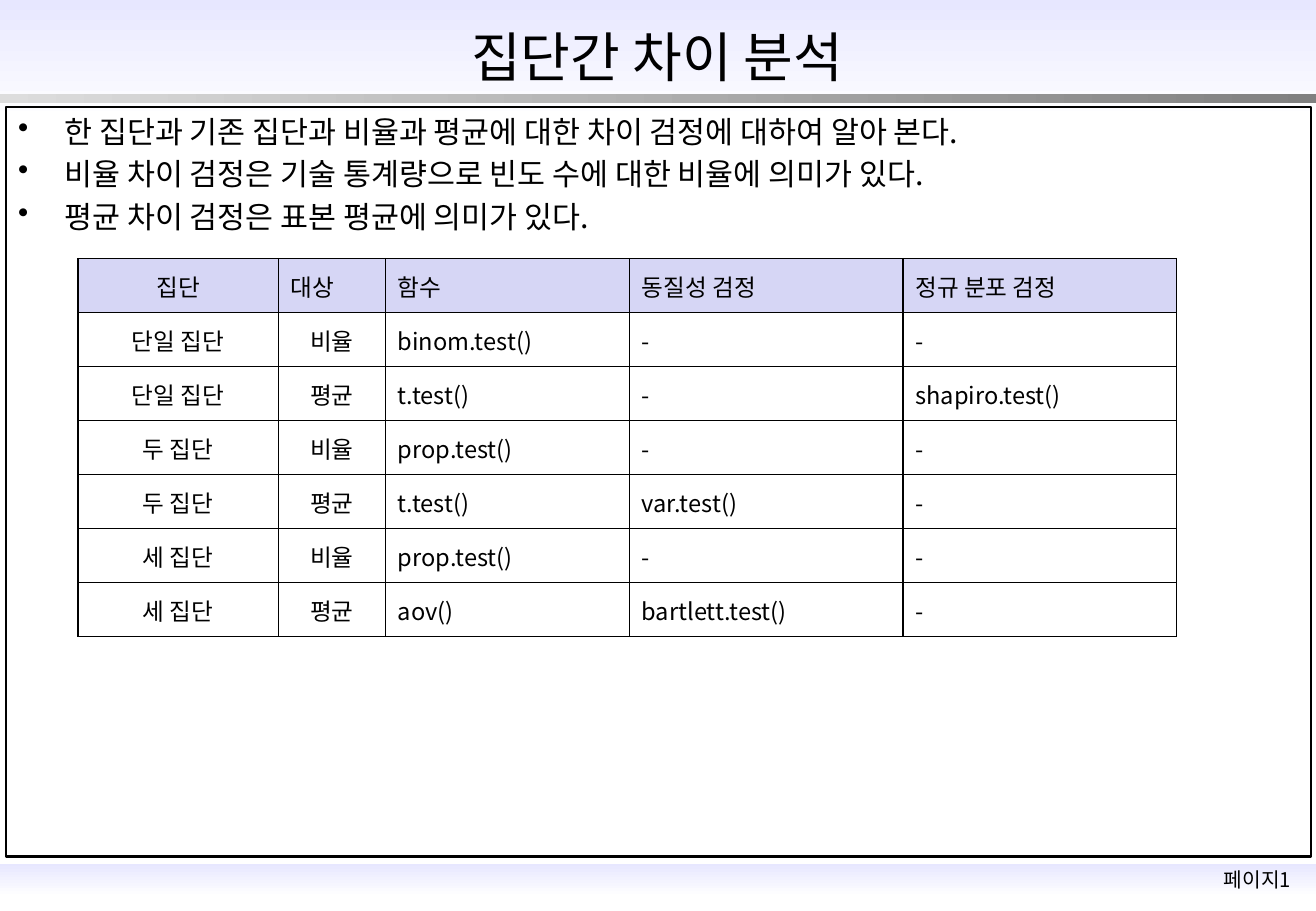
"""Build a slide that lists the tests for differences between groups."""
from dataclasses import dataclass

from lxml import etree
from pptx import Presentation
from pptx import util as u
from pptx.dml import color
from pptx.enum import shapes, text
from pptx.oxml import ns


@dataclass(frozen=True)
class Theme:
    font: str = "Noto Sans CJK KR"
    ink: str = "000000"
    lavender: str = "E7E7FF"
    white: str = "FFFFFF"
    header: str = "D6D6F5"
    light_gray: str = "DDDDDD"
    dark_gray: str = "808080"
    title_size: int = 32
    body_size: int = 18
    table_size: int = 14
    page_size: int = 12
    line_height: float = 1.2


theme = Theme()
align = text.PP_ALIGN


def write(paragraph, content, size, alignment=align.LEFT, fixed=False, before=0, bullet=None):
    paragraph.alignment = alignment
    paragraph.space_before = u.Pt(before)
    if fixed:
        paragraph.line_spacing = u.Pt(size * theme.line_height)
    if bullet:
        properties = paragraph._p.get_or_add_pPr()
        properties.set("marL", str(u.Cm(0.97)))
        properties.set("indent", str(-u.Cm(0.97)))
        etree.SubElement(properties, ns.qn("a:buChar"), char=bullet)
    run = paragraph.add_run()
    run.text = content
    run.font.size = u.Pt(size)
    run.font.name = theme.font
    run.font.color.rgb = color.RGBColor.from_string(theme.ink)
    etree.SubElement(run._r.get_or_add_rPr(), ns.qn("a:ea"), typeface=theme.font)


def add_border(cell):
    properties = cell._tc.get_or_add_tcPr()
    for side in ("lnL", "lnR", "lnT", "lnB"):
        line = etree.SubElement(properties, ns.qn(f"a:{side}"), w=str(u.Pt(1)))
        fill = etree.SubElement(line, ns.qn("a:solidFill"))
        etree.SubElement(fill, ns.qn("a:srgbClr"), val=theme.ink)


presentation = Presentation()
presentation.slide_width = u.Cm(27.51)
presentation.slide_height = u.Cm(19.05)
slide = presentation.slides.add_slide(presentation.slide_layouts[6])

bands = [
    (18.06, 0.69, theme.lavender, theme.white, 270),
    (0, 2.54, theme.lavender, theme.white, 270),
    (1.96, 0.2, theme.light_gray, theme.dark_gray, 0),
]
for top, height, start, end, angle in bands:
    band = slide.shapes.add_shape(
        shapes.MSO_SHAPE.RECTANGLE, 0, u.Cm(top), presentation.slide_width, u.Cm(height))
    band.shadow.inherit = False
    band.line.fill.background()
    band.fill.gradient()
    band.fill.gradient_angle = angle
    for stop, shade in zip(band.fill.gradient_stops, (start, end)):
        stop.color.rgb = color.RGBColor.from_string(shade)

frame = slide.shapes.add_shape(
    shapes.MSO_SHAPE.RECTANGLE, u.Cm(0.13), u.Cm(2.24), u.Cm(27.28), u.Cm(15.67))
frame.shadow.inherit = False
frame.fill.background()
frame.line.color.rgb = color.RGBColor.from_string(theme.ink)
frame.line.width = u.Pt(1.5)

points = [
    "한 집단과 기존 집단과 비율과 평균에 대한 차이 검정에 대하여 알아 본다.",
    "비율 차이 검정은 기술 통계량으로 빈도 수에 대한 비율에 의미가 있다.",
    "평균 차이 검정은 표본 평균에 의미가 있다.",
]
top_anchor, middle_anchor = text.MSO_ANCHOR.TOP, text.MSO_ANCHOR.MIDDLE
text_boxes = [
    ((24.94, 18.01, 2.69, 0.76), top_anchor, ["페이지1"],
     dict(size=theme.page_size, alignment=align.CENTER, fixed=True)),
    ((3.56, 0.43, 20.37, 1.47), middle_anchor, ["집단간 차이 분석"],
     dict(size=theme.title_size, alignment=align.CENTER)),
    ((0.13, 2.24, 27.38, 2.87), top_anchor, points,
     dict(size=theme.body_size, fixed=True, before=3.6, bullet="•")),
]
for box, anchor, lines, style in text_boxes:
    text_frame = slide.shapes.add_textbox(*map(u.Cm, box)).text_frame
    text_frame.word_wrap = True
    text_frame.vertical_anchor = anchor
    for index, content in enumerate(lines):
        paragraph = text_frame.add_paragraph() if index else text_frame.paragraphs[0]
        write(paragraph, content, **style)

rows = [
    ("집단", "대상", "함수", "동질성 검정", "정규 분포 검정"),
    ("단일 집단", "비율", "binom.test()", "-", "-"),
    ("단일 집단", "평균", "t.test()", "-", "shapiro.test()"),
    ("두 집단", "비율", "prop.test()", "-", "-"),
    ("두 집단", "평균", "t.test()", "var.test()", "-"),
    ("세 집단", "비율", "prop.test()", "-", "-"),
    ("세 집단", "평균", "aov()", "bartlett.test()", "-"),
]
column_widths = [4.19, 2.24, 5.1, 5.72, 5.72]
row_height = 1.13
table = slide.shapes.add_table(
    len(rows), len(column_widths), u.Cm(1.63), u.Cm(5.41),
    u.Cm(sum(column_widths)), u.Cm(row_height * len(rows))).table
table.first_row = False
table.horz_banding = False
for column, width in zip(table.columns, column_widths):
    column.width = u.Cm(width)
for row_index, values in enumerate(rows):
    table.rows[row_index].height = u.Cm(row_height)
    for column_index, value in enumerate(values):
        cell = table.cell(row_index, column_index)
        cell.vertical_anchor = middle_anchor
        add_border(cell)
        if row_index == 0:
            cell.fill.solid()
            cell.fill.fore_color.rgb = color.RGBColor.from_string(theme.header)
            alignment = align.JUSTIFY if column_index else align.CENTER
        else:
            cell.fill.background()
            alignment = align.CENTER if column_index < 2 else align.LEFT
        write(cell.text_frame.paragraphs[0], value, theme.table_size, alignment)

presentation.save("out.pptx")
